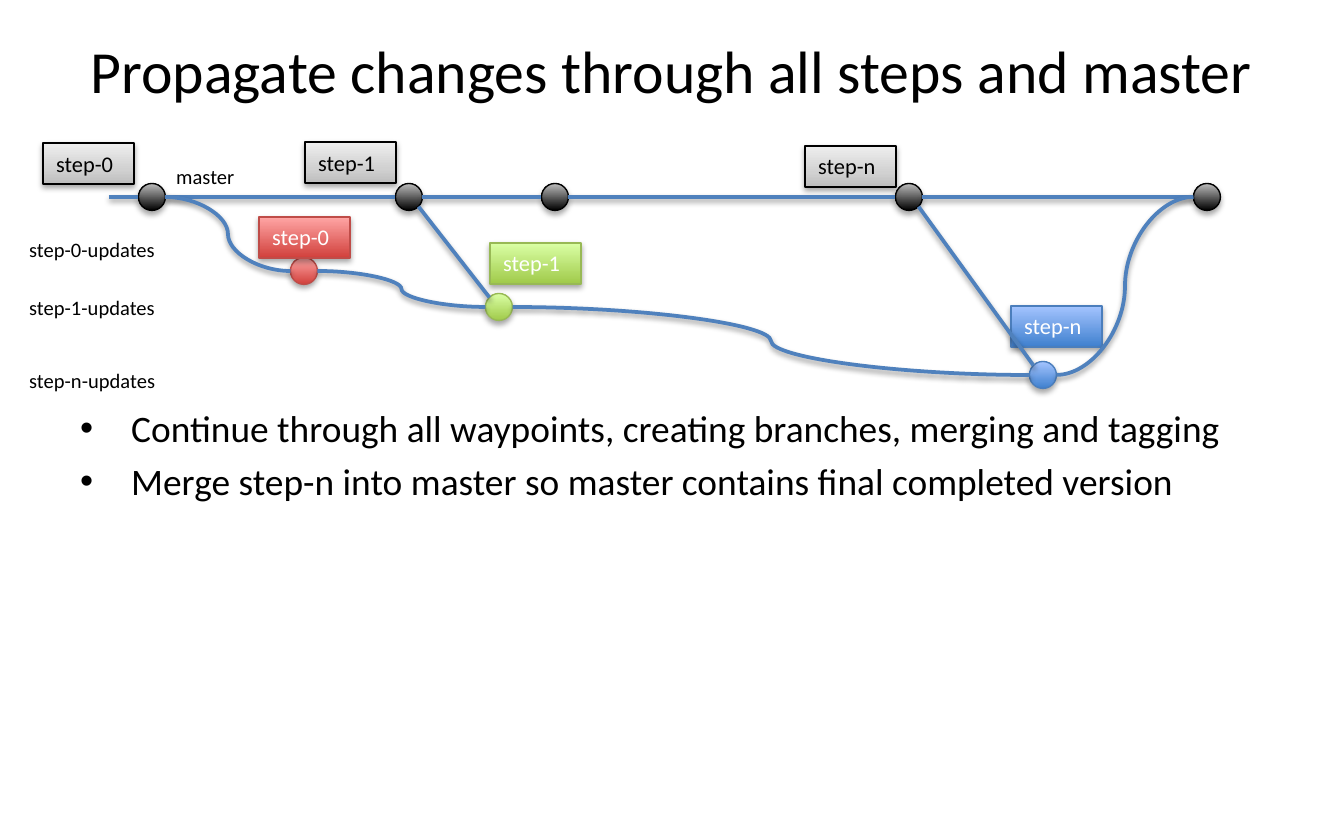
from lxml import etree
from pptx import Presentation
from pptx.dml.color import RGBColor
from pptx.enum.shapes import MSO_CONNECTOR, MSO_SHAPE
from pptx.enum.text import MSO_ANCHOR, PP_ALIGN
from pptx.oxml.ns import qn
from pptx.util import Emu, Pt

OVAL, RECT = MSO_SHAPE.OVAL, MSO_SHAPE.RECTANGLE
STRAIGHT, CURVE = MSO_CONNECTOR.STRAIGHT, MSO_CONNECTOR.CURVE
TOP, MIDDLE = MSO_ANCHOR.TOP, MSO_ANCHOR.MIDDLE
LEFT, CENTER = PP_ALIGN.LEFT, PP_ALIGN.CENTER

PX = 914400 / 134.4
FONT, BLACK, WHITE, LINE = "Calibri", "000000", "FFFFFF", "4F81BD"
NODE, TAG_W, TAG_H = 27, 91, 41

TITLE = "Propagate changes through all steps and master"
BULLETS = [
    "Continue through all waypoints, creating branches, merging and tagging",
    "Merge step-n into master so master contains final completed version",
]
# name: (gradient stops from bottom to top, outline, text colour)
STYLES = {
    "black": ([(0, "000000"), (100, "BDBDBD")], BLACK, WHITE),
    "grey": ([(0, "BDBDBD"), (35, "D1D1D1"), (100, "EEEEEE")], BLACK, BLACK),
    "red": ([(0, "D1403C"), (100, "FFA6A5")], "BF4C48", WHITE),
    "green": ([(0, "A0CA4A"), (100, "DAFFA5")], "98B955", WHITE),
    "blue": ([(0, "3F80CE"), (100, "A4C4FF")], "4B7EBC", WHITE),
}
# commit: (centre x, centre y, style)
COMMITS = {
    "start": (152, 197, "black"),
    "one": (409, 197, "black"),
    "two": (555, 197, "black"),
    "n": (909, 197, "black"),
    "final": (1207, 197, "black"),
    "fix0": (304, 271, "red"),
    "fix1": (499, 307, "green"),
    "fixn": (1043, 375, "blue"),
}
TAGS = [
    ("step-0", 43, 143, "grey"), ("step-1", 305, 142, "grey"),
    ("step-n", 805, 146, "grey"), ("step-0", 259, 217, "red"),
    ("step-1", 490, 243, "green"), ("step-n", 1011, 306, "blue"),
]
BRANCHES = [
    ("master", 163, 157), ("step-0-updates", 16, 230),
    ("step-1-updates", 16, 288), ("step-n-updates", 16, 361),
]
MASTER = ["start", "one", "two", "n", "final"]
MERGES = [("start", "fix0"), ("fix0", "fix1"), ("fix1", "fixn"), ("fixn", "final")]
FORKS = [("one", "fix1"), ("n", "fixn")]


def px(n):
    return Emu(round(n * PX))


def rgb(value):
    return RGBColor.from_string(value)


def sub(parent, tag, **attrs):
    return etree.SubElement(parent, qn(tag), {k: str(v) for k, v in attrs.items()})


def add_shadow(s, alpha):
    spPr = s._element.spPr
    for old in spPr.findall(qn("a:effectLst")):
        spPr.remove(old)
    shadow = sub(sub(spPr, "a:effectLst"), "a:outerShdw", blurRad=Pt(3.1),
                 dist=Pt(1.7), dir=5400000, rotWithShape=0)
    sub(sub(shadow, "a:srgbClr", val=BLACK), "a:alpha", val=alpha * 1000)


def write(s, lines, size, color=BLACK, anchor=TOP, align=LEFT):
    tf = s.text_frame
    tf.word_wrap, tf.vertical_anchor = True, anchor
    for i, line in enumerate(lines):
        p = tf.add_paragraph() if i else tf.paragraphs[0]
        p.alignment = align
        r = p.add_run()
        r.text = line
        for key, value in {"name": FONT, "size": Pt(size)}.items():
            setattr(r.font, key, value)
        r.font.color.rgb = rgb(color)
    return tf


def add_text(shapes, box, lines, size, **options):
    return write(shapes.add_textbox(*map(px, box)), lines, size, **options)


def add_styled(shapes, kind, box, style):
    stops, outline, _ = STYLES[style]
    s = shapes.add_shape(kind, *map(px, box))
    s.shadow.inherit = False
    s.fill.gradient()
    s.fill.gradient_angle = 90
    gs_list = s._element.spPr.find(".//" + qn("a:gsLst"))
    for old in list(gs_list):
        gs_list.remove(old)
    for pos, color in stops:
        sub(sub(gs_list, "a:gs", pos=pos * 1000), "a:srgbClr", val=color)
    s.line.color.rgb, s.line.width = rgb(outline), Pt(0.75)
    add_shadow(s, 35)
    return s


def add_line(shapes, kind, x1, y1, x2, y2):
    s = shapes.add_connector(kind, px(x1), px(y1), px(x2), px(y2))
    s.line.color.rgb, s.line.width = rgb(LINE), Pt(2)
    add_shadow(s, 38)


def main():
    prs = Presentation()
    prs.slide_width, prs.slide_height = px(1344), px(840)
    shapes = prs.slides.add_slide(prs.slide_layouts[6]).shapes

    # Title and bullets
    add_text(shapes, (67, 0, 1210, 140), [TITLE], 32, anchor=MIDDLE, align=CENTER)
    tf = add_text(shapes, (67, 399, 1210, 169), BULLETS, 20)
    for p in tf.paragraphs:
        p.space_before = Pt(4)
        pPr = p._p.get_or_add_pPr()
        pPr.set("marL", str(px(51)))
        pPr.set("indent", str(px(-51)))
        sub(pPr, "a:buFont", typeface="Arial")
        sub(pPr, "a:buChar", char="•")

    # Branch names
    for name, x, y in BRANCHES:
        add_text(shapes, (x, y, 292, 39), [name], 11)

    # Commits and tags
    r = NODE / 2
    for x, y, style in COMMITS.values():
        add_styled(shapes, OVAL, (x - r, y - r, NODE, NODE), style)
    for name, x, y, style in TAGS:
        s = add_styled(shapes, RECT, (x, y, TAG_W, TAG_H), style)
        write(s, [name], 12, color=STYLES[style][2])

    # Master line, then merges from side to side
    x, y, _ = COMMITS[MASTER[0]]
    add_line(shapes, STRAIGHT, 109, y, x - r, y)
    links = [(STRAIGHT, a, b) for a, b in zip(MASTER, MASTER[1:])]
    links += [(CURVE, a, b) for a, b in MERGES]
    for kind, a, b in links:
        (x1, y1, _), (x2, y2, _) = COMMITS[a], COMMITS[b]
        add_line(shapes, kind, x1 + r, y1, x2 - r, y2)

    # Forks leave and enter the circles at 45 degrees
    d = r * 0.71
    for a, b in FORKS:
        (x1, y1, _), (x2, y2, _) = COMMITS[a], COMMITS[b]
        add_line(shapes, STRAIGHT, x1 + d, y1 + d, x2 - d, y2 - d)

    prs.save("out.pptx")


if __name__ == "__main__":
    main()
